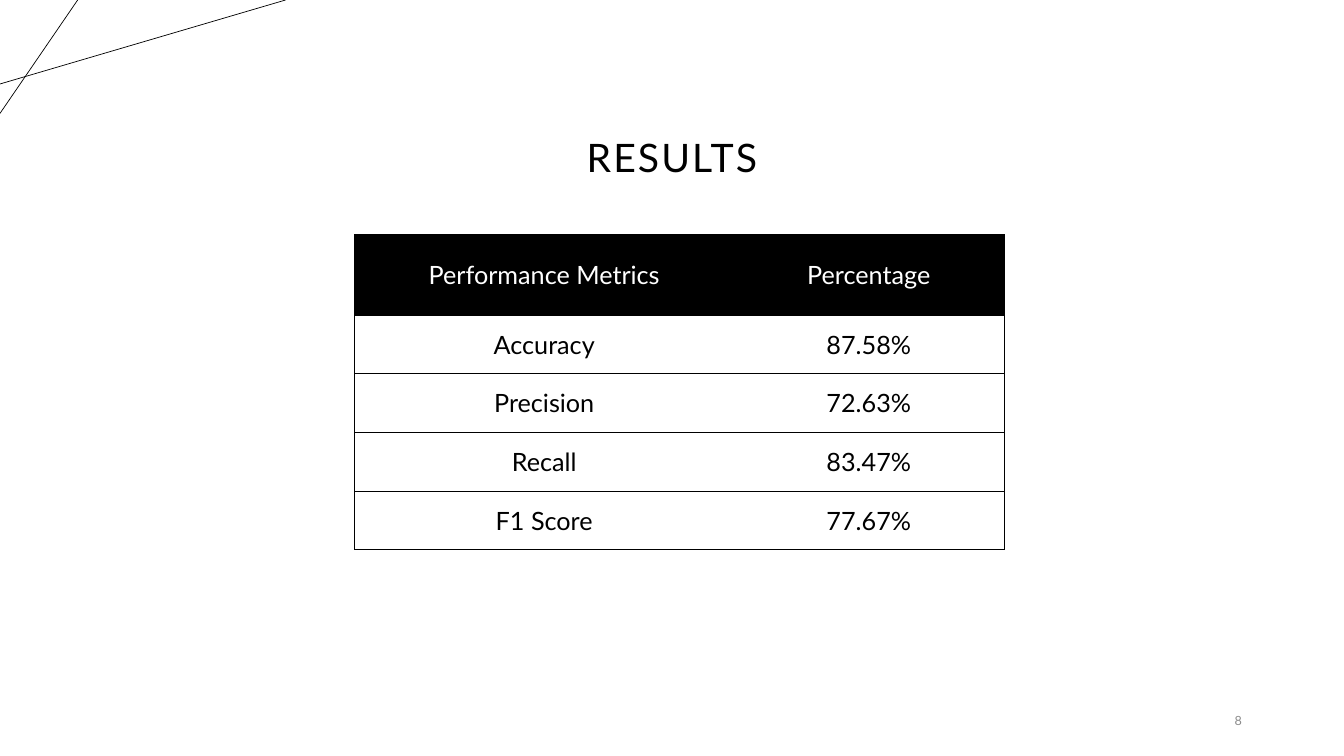
import pptx
import pptx.util
import pptx.dml.color
import pptx.enum.shapes
import pptx.enum.text
import pptx.oxml
import pptx.oxml.ns
import lxml.etree

Pt = pptx.util.Pt
RGB = pptx.dml.color.RGBColor
ALIGN = pptx.enum.text.PP_ALIGN
ANCHOR = pptx.enum.text.MSO_ANCHOR
qn = pptx.oxml.ns.qn

THEME = {
    "font": "Lato",
    "ink": RGB(0x00, 0x00, 0x00),
    "paper": RGB(0xFF, 0xFF, 0xFF),
    "muted": RGB(0x8C, 0x8C, 0x8C),
    "title": 28,
    "table": 18,
    "number": 9,
    "line": 0.5,
}


def write(tf, text, size, color, align):
    tf.text = text
    p = tf.paragraphs[0]
    p.alignment = align
    r = p.runs[0]
    r.font.name = THEME["font"]
    r.font.size = Pt(size)
    r.font.color.rgb = color
    return p


def add_border(cell, side, visible):
    ln = lxml.etree.SubElement(cell._tc.get_or_add_tcPr(), qn("a:" + side))
    ln.set("w", str(Pt(THEME["line"])))
    if visible:
        fill = lxml.etree.SubElement(ln, qn("a:solidFill"))
        lxml.etree.SubElement(fill, qn("a:srgbClr")).set("val", str(THEME["ink"]))
    else:
        lxml.etree.SubElement(ln, qn("a:noFill"))


prs = pptx.Presentation()
prs.slide_width = Pt(960)
prs.slide_height = Pt(540)
s = prs.slides.add_slide(prs.slide_layouts[6])
s.background.fill.solid()
s.background.fill.fore_color.rgb = THEME["paper"]

corner_lines = [(0, 60, 204, 0), (55.5, 0, 0, 81)]
for ends in corner_lines:
    line = s.shapes.add_connector(
        pptx.enum.shapes.MSO_CONNECTOR.STRAIGHT, *[Pt(v) for v in ends])
    line.line.color.rgb = THEME["ink"]
    line.line.width = Pt(THEME["line"])
    lxml.etree.SubElement(line._element.spPr, qn("a:effectLst"))

labels = [
    ("RESULTS", (66, 28, 828, 104.5), "title", "ink", ALIGN.CENTER, ANCHOR.BOTTOM),
    ("8", (816.5, 500.5, 77.75, 28.75), "number", "muted", ALIGN.RIGHT, ANCHOR.MIDDLE),
]
for text, box, size, color, align, anchor in labels:
    sp = s.shapes.add_textbox(*[Pt(v) for v in box])
    tf = sp.text_frame
    tf.word_wrap = True
    tf.vertical_anchor = anchor
    p = write(tf, text, THEME[size], THEME[color], align)
    if size == "title":
        p.line_spacing = 0.9
        p.runs[0]._r.get_or_add_rPr().set("spc", "150")

results = [
    ("Performance Metrics", "Percentage"),
    ("Accuracy", "87.58%"),
    ("Precision", "72.63%"),
    ("Recall", "83.47%"),
    ("F1 Score", "77.67%"),
]
col_widths = [270.7, 193]
row_heights = [57.6] + [41.9] * (len(results) - 1)
table = s.shapes.add_table(
    len(results), len(col_widths), Pt(253.4), Pt(167.4),
    Pt(sum(col_widths)), Pt(sum(row_heights))).table
table.first_row = False
table.horz_banding = False
for col, width in zip(table.columns, col_widths):
    col.width = Pt(width)
for row, height in zip(table.rows, row_heights):
    row.height = Pt(height)

for i, values in enumerate(results):
    for j, value in enumerate(values):
        cell = table.cell(i, j)
        cell.vertical_anchor = ANCHOR.MIDDLE
        add_border(cell, "lnL", j == 0)
        add_border(cell, "lnR", j == len(values) - 1)
        add_border(cell, "lnT", True)
        add_border(cell, "lnB", True)
        cell.fill.solid()
        cell.fill.fore_color.rgb = THEME["ink" if i == 0 else "paper"]
        write(cell.text_frame, value, THEME["table"],
              THEME["paper" if i == 0 else "ink"], ALIGN.CENTER)

prs.save("out.pptx")
